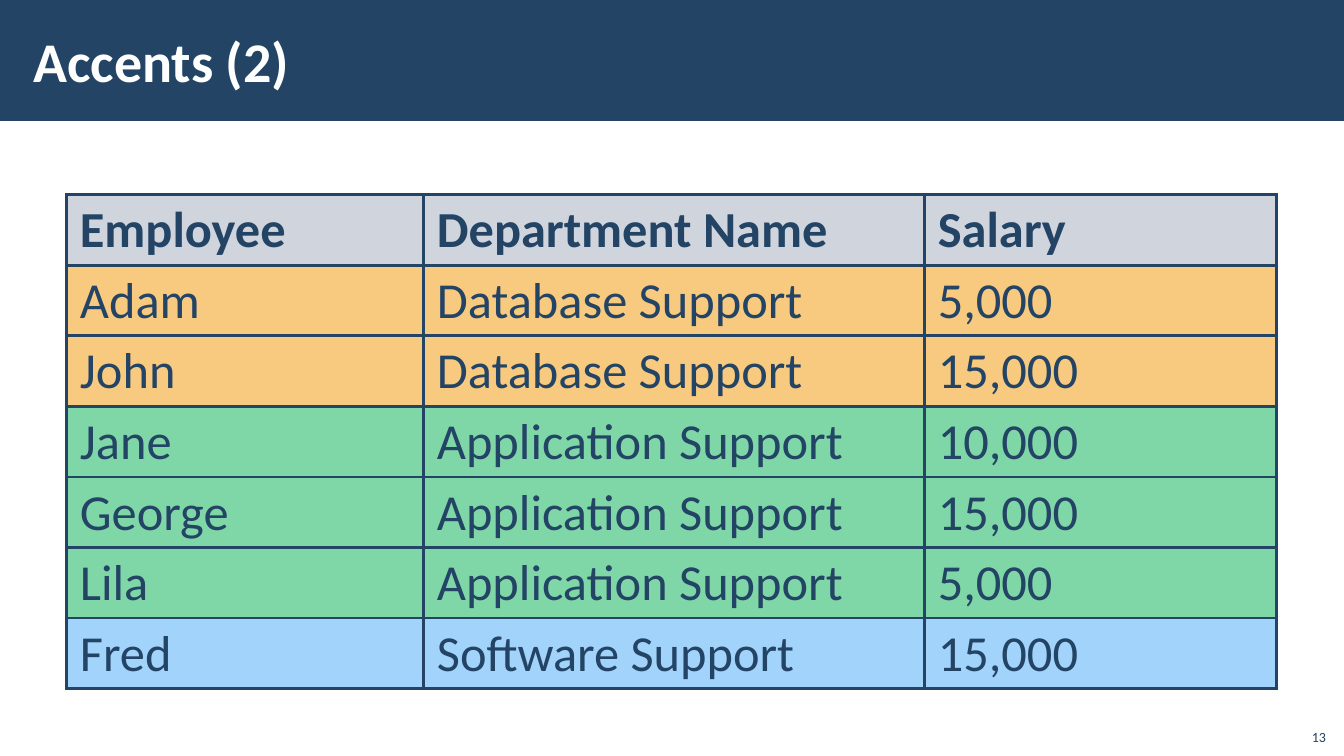
import dataclasses

import lxml.etree
import pptx
import pptx.dml.color
import pptx.enum.shapes
import pptx.enum.text
import pptx.oxml.ns
import pptx.slide
import pptx.table
import pptx.text.text
import pptx.util

SLIDE_WIDTH = pptx.util.Inches(13.33)
SLIDE_HEIGHT = pptx.util.Inches(7.5)
TITLE_ONLY = 5


@dataclasses.dataclass(frozen=True)
class Theme:
    font: str = "Calibri"
    navy: str = "234465"
    white: str = "FFFFFF"
    header: str = "A3ABBC"
    opacity: int = 50
    border: float = 2.25
    title_size: int = 40
    table_size: int = 36
    number_size: int = 10


@dataclasses.dataclass(frozen=True)
class Area:
    left: float
    top: float
    width: float
    height: float

    def lengths(self) -> tuple[int, int, int, int]:
        return across(self.left), down(self.top), across(self.width), down(self.height)


@dataclasses.dataclass(frozen=True)
class Department:
    name: str
    color: str
    salaries: dict[str, str]


@dataclasses.dataclass(frozen=True)
class Row:
    texts: tuple[str, str, str]
    color: str
    bold: bool = False


THEME = Theme()
BAND = Area(0, 0, 100, 16)
TITLE = Area(1.58, 1.47, 79.74, 12.93)
PAGE_NUMBER = Area(96.4, 94.93, 3, 4.27)
COLUMN_SHARES = (26.56, 37.28, 26.18)
ROW_SHARE = 9.33
DEPARTMENTS = (
    Department("Database Support", "F29600", {"Adam": "5,000", "John": "15,000"}),
    Department(
        "Application Support",
        "00B050",
        {"Jane": "10,000", "George": "15,000", "Lila": "5,000"},
    ),
    Department("Software Support", "44A9F8", {"Fred": "15,000"}),
)
ROWS = [Row(("Employee", "Department Name", "Salary"), THEME.header, True)] + [
    Row((employee, department.name, salary), department.color)
    for department in DEPARTMENTS
    for employee, salary in department.salaries.items()
]
SALARY_TABLE = Area(4.95, 25.73, sum(COLUMN_SHARES), ROW_SHARE * len(ROWS))


def across(percent: float) -> int:
    return round(SLIDE_WIDTH * percent / 100)


def down(percent: float) -> int:
    return round(SLIDE_HEIGHT * percent / 100)


def rgb(color: str) -> pptx.dml.color.RGBColor:
    return pptx.dml.color.RGBColor.from_string(color)


def write(
    frame: pptx.text.text.TextFrame,
    text: str,
    size: int,
    color: str,
    bold: bool = False,
    align: pptx.enum.text.PP_ALIGN = pptx.enum.text.PP_ALIGN.LEFT,
) -> None:
    frame.text = text
    frame.word_wrap = True
    paragraph = frame.paragraphs[0]
    paragraph.alignment = align
    font = paragraph.runs[0].font
    font.name = THEME.font
    font.size = pptx.util.Pt(size)
    font.bold = bold
    font.color.rgb = rgb(color)


def draw_band(slide: pptx.slide.Slide) -> None:
    band = slide.shapes.add_shape(
        pptx.enum.shapes.MSO_SHAPE.RECTANGLE, *BAND.lengths()
    )
    band.shadow.inherit = False
    band.fill.solid()
    band.fill.fore_color.rgb = rgb(THEME.navy)
    band.line.fill.background()


def draw_title(slide: pptx.slide.Slide, text: str) -> None:
    title = slide.shapes.title
    title.left, title.top, title.width, title.height = TITLE.lengths()
    frame = title.text_frame
    write(frame, text, THEME.title_size, THEME.white, bold=True)
    frame.auto_size = pptx.enum.text.MSO_AUTO_SIZE.NONE
    frame.vertical_anchor = pptx.enum.text.MSO_ANCHOR.MIDDLE
    frame.margin_left = frame.margin_right = across(0.9)
    frame.margin_top = frame.margin_bottom = down(0.53)
    title.element.getparent().append(title.element)


def draw_page_number(slide: pptx.slide.Slide, text: str) -> None:
    frame = slide.shapes.add_textbox(*PAGE_NUMBER.lengths()).text_frame
    write(
        frame,
        text,
        THEME.number_size,
        THEME.navy,
        align=pptx.enum.text.PP_ALIGN.RIGHT,
    )
    frame.vertical_anchor = pptx.enum.text.MSO_ANCHOR.BOTTOM


def paint_cell(cell: pptx.table._Cell, color: str) -> None:
    qn = pptx.oxml.ns.qn
    cell.fill.solid()
    cell.fill.fore_color.rgb = rgb(color)
    properties = cell._tc.get_or_add_tcPr()
    tint = properties.find(f".//{qn('a:srgbClr')}")
    lxml.etree.SubElement(tint, qn("a:alpha"), val=str(THEME.opacity * 1000))
    for position, side in enumerate(("a:lnL", "a:lnR", "a:lnT", "a:lnB")):
        width = str(pptx.util.Pt(THEME.border))
        border = lxml.etree.Element(qn(side), w=width)
        fill = lxml.etree.SubElement(border, qn("a:solidFill"))
        lxml.etree.SubElement(fill, qn("a:srgbClr"), val=THEME.navy)
        properties.insert(position, border)


def draw_salary_table(slide: pptx.slide.Slide) -> None:
    salaries = slide.shapes.add_table(
        len(ROWS), len(COLUMN_SHARES), *SALARY_TABLE.lengths()
    ).table
    for column, share in zip(salaries.columns, COLUMN_SHARES):
        column.width = across(share)
    for line, row in zip(salaries.rows, ROWS):
        line.height = down(ROW_SHARE)
        for cell, text in zip(line.cells, row.texts):
            write(cell.text_frame, text, THEME.table_size, THEME.navy, row.bold)
            cell.margin_left = cell.margin_right = across(1)
            cell.margin_top = cell.margin_bottom = down(0.67)
            paint_cell(cell, row.color)


def main() -> None:
    deck = pptx.Presentation()
    deck.slide_width = SLIDE_WIDTH
    deck.slide_height = SLIDE_HEIGHT
    slide = deck.slides.add_slide(deck.slide_layouts[TITLE_ONLY])
    draw_band(slide)
    draw_page_number(slide, "13")
    draw_salary_table(slide)
    draw_title(slide, "Accents (2)")
    deck.save("out.pptx")


if __name__ == "__main__":
    main()
